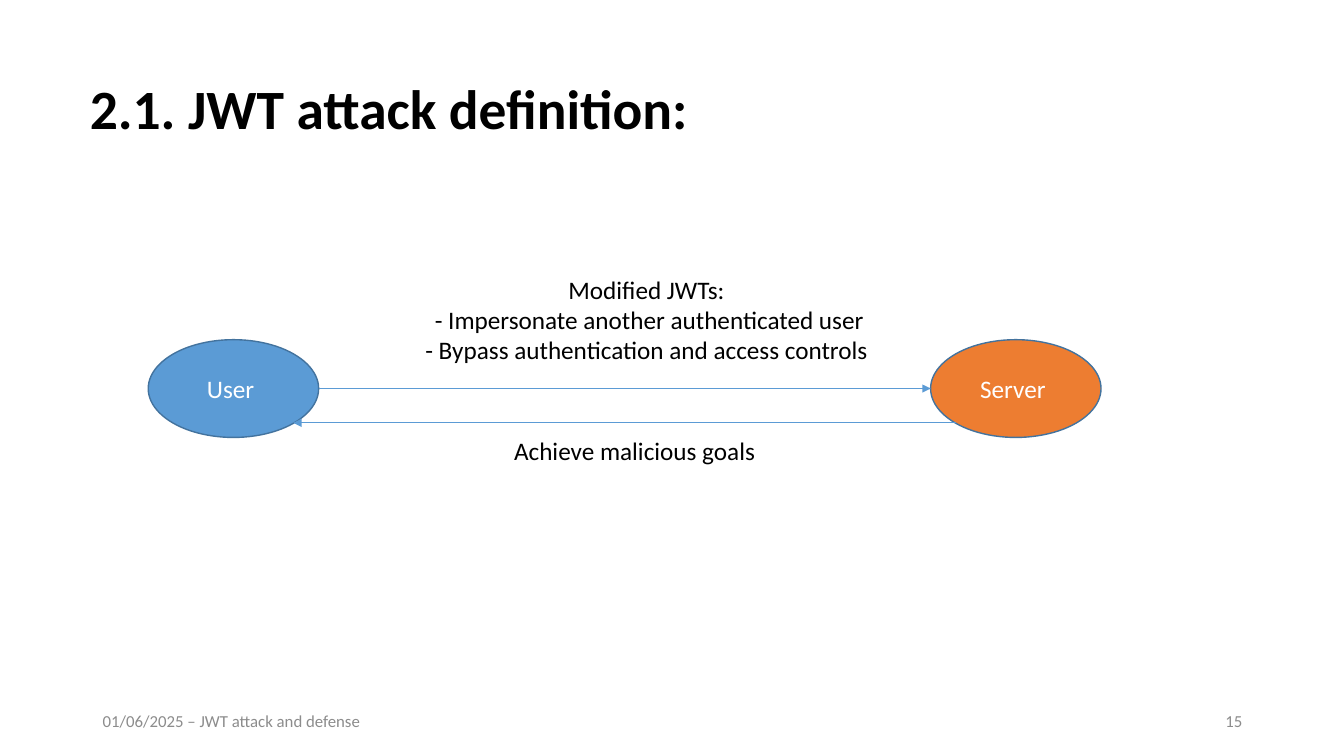
from lxml import etree
from pptx import Presentation
from pptx.dml.color import RGBColor
from pptx.enum.shapes import MSO_CONNECTOR, MSO_SHAPE
from pptx.enum.text import MSO_ANCHOR, MSO_AUTO_SIZE, PP_ALIGN
from pptx.oxml.ns import qn
from pptx.util import Inches, Pt

LEFT, CENTER, RIGHT = PP_ALIGN.LEFT, PP_ALIGN.CENTER, PP_ALIGN.RIGHT
TOP, MIDDLE = MSO_ANCHOR.TOP, MSO_ANCHOR.MIDDLE
STRAIGHT, OVAL = MSO_CONNECTOR.STRAIGHT, MSO_SHAPE.OVAL
NO_AUTOFIT = MSO_AUTO_SIZE.NONE

FONT = "Calibri"
COLORS = {
    "text": "000000",
    "footer": "8C8C8C",
    "on_fill": "FFFFFF",
    "user": "5B9BD5",
    "server": "ED7D31",
    "outline": "43739E",
    "arrow": "5B9BD5",
}


def color(name):
    return RGBColor.from_string(COLORS[name])


def write_text(shape, lines, size, color_name, align=LEFT, anchor=MIDDLE, bold=False):
    frame = shape.text_frame
    frame.word_wrap = True
    frame.auto_size = NO_AUTOFIT
    frame.vertical_anchor = anchor
    frame.text = "\n".join(lines)
    for paragraph in frame.paragraphs:
        paragraph.alignment = align
        paragraph.font.name = FONT
        paragraph.font.size = Pt(size)
        paragraph.font.bold = bold
        paragraph.font.color.rgb = color(color_name)


def add_text(slide, box, lines, size, color_name, align=LEFT, anchor=MIDDLE):
    text_box = slide.shapes.add_textbox(*map(Inches, box))
    write_text(text_box, lines, size, color_name, align, anchor)


def add_title(slide, box, text):
    title = slide.shapes.title
    title.left, title.top, title.width, title.height = map(Inches, box)
    write_text(title, [text], 39.6, "text", bold=True)
    title.text_frame.paragraphs[0].line_spacing = 0.9


def add_footer(slide, box, text, number):
    """Put the text at the left end of the box and the number at its right end."""
    left, top, width, height = box
    part_width = 3
    add_text(slide, (left, top, part_width, height), [text], 12, "footer")
    number_left = left + width - part_width
    add_text(slide, (number_left, top, part_width, height), [number], 12, "footer", RIGHT)


def add_party(slide, box, name, fill_name):
    oval = slide.shapes.add_shape(OVAL, *map(Inches, box))
    oval.shadow.inherit = False
    oval.fill.solid()
    oval.fill.fore_color.rgb = color(fill_name)
    oval.line.color.rgb = color("outline")
    oval.line.width = Pt(1)
    write_text(oval, [name], 18, "on_fill", CENTER)


def add_arrow(slide, start_x, end_x, y):
    arrow = slide.shapes.add_connector(
        STRAIGHT, Inches(start_x), Inches(y), Inches(end_x), Inches(y)
    )
    arrow.line.color.rgb = color("arrow")
    arrow.line.width = Pt(0.5)
    etree.SubElement(arrow.line._get_or_add_ln(), qn("a:tailEnd"), type="triangle")
    etree.SubElement(arrow._element.spPr, qn("a:effectLst"))


def add_attack_diagram(slide, box):
    """Draw user and server at the ends of the box, with the exchange between them."""
    left, top, width, height = box
    party_width, party_height = 1.69, 0.97
    party_top = top + 0.7
    server_left = left + width - party_width
    add_party(slide, (left, party_top, party_width, party_height), "User ", "user")
    add_party(slide, (server_left, party_top, party_width, party_height), "Server ", "server")

    request_y = party_top + party_height / 2
    add_arrow(slide, left + party_width, server_left, request_y)
    inset = 0.25
    add_arrow(slide, server_left + inset, left + party_width - inset, request_y + 0.34)

    request_lines = [
        "Modified JWTs: ",
        "- Impersonate another authenticated user",
        "- Bypass authentication and access controls ",
    ]
    add_text(slide, (left + 2.43, top, 5.08, 1.01), request_lines, 18, "text", CENTER, TOP)
    reply_height = 0.4
    reply_box = (left + 3.53, top + height - reply_height, 2.88, reply_height)
    add_text(slide, reply_box, ["Achieve malicious goals"], 18, "text", anchor=TOP)


def main():
    presentation = Presentation()
    presentation.slide_width = Inches(13.33)
    presentation.slide_height = Inches(7.5)
    title_only = presentation.slide_layouts[5]
    slide = presentation.slides.add_slide(title_only)
    add_title(slide, (0.79, 0.78, 11.5, 0.65), "2.1. JWT attack definition:")
    add_attack_diagram(slide, (1.47, 2.67, 9.45, 2))
    add_footer(slide, (0.92, 6.95, 11.5, 0.4), "01/06/2025 – JWT attack and defense", "15")
    presentation.save("out.pptx")


if __name__ == "__main__":
    main()
